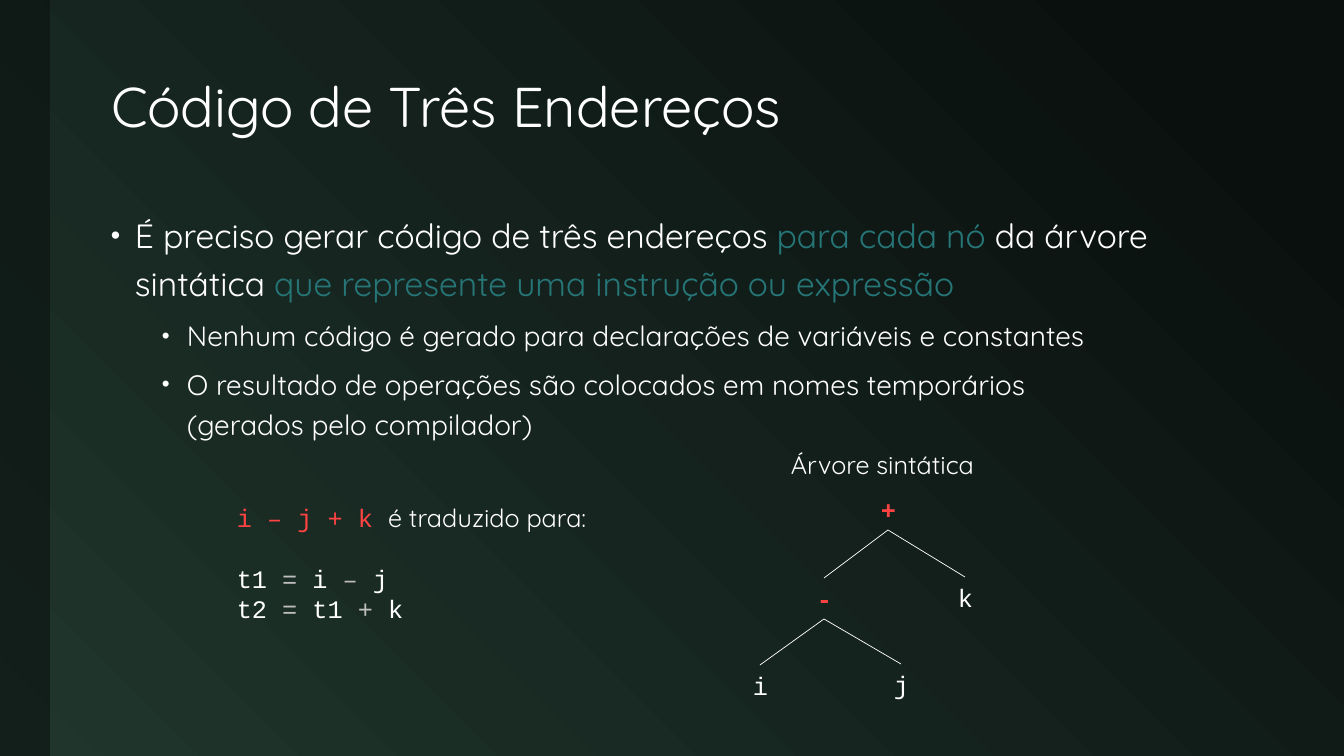
"""Build the slide on three-address code and its syntax tree."""
from lxml.etree import SubElement
from pptx import Presentation
from pptx.dml.color import RGBColor
from pptx.enum.shapes import MSO_CONNECTOR, MSO_SHAPE
from pptx.enum.text import MSO_ANCHOR, PP_ALIGN
from pptx.oxml.ns import qn
from pptx.util import Pt

WHITE, TEAL, RED, GRAY = "FFFFFF", "267577", "FF4343", "BFBFBF"
DARK, GREEN = "0A100E", "20362D"
SANS, MONO = "Quicksand", "Courier New"

TITLE = "Código de Três Endereços"
TOPICS = [
    (0, [("É preciso gerar código de três endereços ", WHITE), ("para cada nó", TEAL),
         (" da árvore sintática ", WHITE),
         ("que represente uma instrução ou expressão", TEAL)]),
    (1, [("Nenhum código é gerado para declarações de variáveis e constantes", WHITE)]),
    (1, [("O resultado de operações são colocados em nomes temporários ", WHITE),
         ("\n", WHITE), ("(gerados pelo compilador)", WHITE)]),
]
LEVELS = [dict(size=24, before=18, margin=24, hang=24),
          dict(size=20, before=6, margin=76, hang=25)]
EXPRESSION = [("i – j + k ", RED, MONO), ("é traduzido para:", WHITE, SANS)]
INSTRUCTIONS = [
    [("t1 ", WHITE), ("=", GRAY), (" i ", WHITE), ("–", GRAY), (" j", WHITE)],
    [("t2 ", WHITE), ("=", GRAY), (" t1 ", WHITE), ("+", GRAY), (" k", WHITE)],
]
TREE_TITLE = "Árvore sintática"
NODES = {"+": (888, 489), "-": (824, 578), "k": (965, 577), "i": (760, 665), "j": (901, 664)}
BRANCHES = {"+": "-k", "-": "ij"}
NODE_WIDTH, LINE_HEIGHT = 34, 41


def px(length):
    return round(length * 914400 / 100.8)


def color(value):
    return RGBColor.from_string(value)


def add_text(left, top, width, height, wrap=False):
    frame = slide.shapes.add_textbox(px(left), px(top), px(width), px(height)).text_frame
    frame.word_wrap = wrap
    return frame


def next_paragraph(frame):
    return frame.paragraphs[0] if not frame.paragraphs[0].runs else frame.add_paragraph()


def write(paragraph, pieces, size, font=None):
    paragraph.font.size = Pt(size)
    paragraph.font.name = font
    shades = {shade for _, shade, *_ in pieces}
    if len(shades) == 1:
        paragraph.font.color.rgb = color(*shades)
    for words, shade, *own_font in pieces:
        if words == "\n":
            paragraph.add_line_break()
            continue
        run = paragraph.add_run()
        run.text = words
        if len(shades) > 1:
            run.font.color.rgb = color(shade)
        if own_font:
            run.font.name = own_font[0]


def add_bullet(paragraph, margin, hang):
    properties = paragraph._p.get_or_add_pPr()
    properties.set("marL", str(px(margin)))
    properties.set("indent", str(-px(hang)))
    SubElement(properties, qn("a:buSzPct"), val="80000")
    SubElement(properties, qn("a:buFont"), typeface="Arial")
    SubElement(properties, qn("a:buChar"), char="•")


deck = Presentation()
deck.slide_width, deck.slide_height = px(1344), px(756)
slide = deck.slides.add_slide(deck.slide_layouts[5])

backdrop = slide.background.fill
backdrop.gradient()
backdrop.gradient_angle = 225
for stop, position, shade in zip(backdrop.gradient_stops, (0.1, 1), (DARK, GREEN)):
    stop.position = position
    stop.color.rgb = color(shade)

side_band = slide.shapes.add_shape(MSO_SHAPE.RECTANGLE, 0, 0, px(50), px(756))
side_band.shadow.inherit = False
side_band.line.fill.background()
side_band.fill.solid()
side_band.fill.fore_color.rgb = color(DARK)
SubElement(side_band.fill._xPr.find(".//" + qn("a:srgbClr")), qn("a:alpha"), val="60000")

title = slide.shapes.title
title.left, title.top, title.width, title.height = map(px, (101, 42, 1174, 134))
title.text_frame.vertical_anchor = MSO_ANCHOR.MIDDLE
heading = title.text_frame.paragraphs[0]
heading.alignment = PP_ALIGN.LEFT
heading.line_spacing = 0.9
write(heading, [(TITLE, WHITE)], 40, SANS)

body = add_text(101, 202, 1174, 487, wrap=True)
for level, pieces in TOPICS:
    style = LEVELS[level]
    topic = next_paragraph(body)
    topic.level = level
    add_bullet(topic, style["margin"], style["hang"])
    topic.line_spacing = 1.2
    topic.space_before = Pt(style["before"])
    write(topic, pieces, style["size"], SANS)

code = add_text(227, 497, 374, 132)
write(next_paragraph(code), EXPRESSION, 18)
for instruction in INSTRUCTIONS:
    write(next_paragraph(code), instruction, 18, MONO)
code.paragraphs[1].space_before = Pt(22)

for symbol, (center, top) in NODES.items():
    node = next_paragraph(add_text(center - NODE_WIDTH / 2, top, NODE_WIDTH, LINE_HEIGHT))
    node.alignment = PP_ALIGN.CENTER
    node.font.bold = symbol in BRANCHES
    write(node, [(symbol, RED if symbol in BRANCHES else WHITE)], 18, MONO)

for parent, children in BRANCHES.items():
    start, top = NODES[parent]
    for child in children:
        end, bottom = NODES[child]
        branch = slide.shapes.add_connector(
            MSO_CONNECTOR.STRAIGHT, px(start), px(top + LINE_HEIGHT), px(end), px(bottom))
        branch.line.color.rgb = color(WHITE)
        branch.line.width = Pt(0.5)
        SubElement(branch._element.spPr, qn("a:effectLst"))

tree_title = add_text(781, 444, 213, LINE_HEIGHT)
write(next_paragraph(tree_title), [(TREE_TITLE, WHITE)], 18, SANS)

deck.save("out.pptx")
